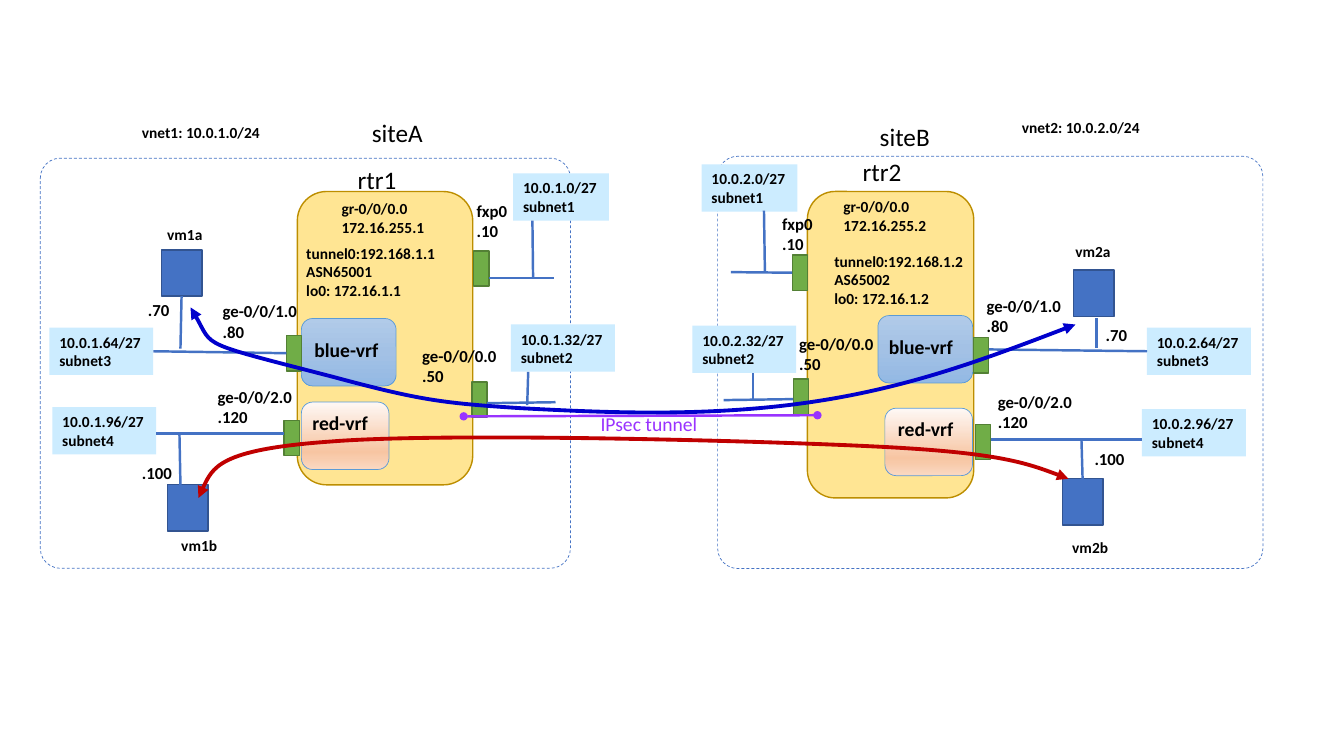
import copy
import pptx
import pptx.util
import pptx.dml.color
import pptx.enum.dml
import pptx.enum.shapes
import pptx.enum.text
import pptx.oxml.ns

Pt = pptx.util.Pt
KIND = pptx.enum.shapes.MSO_SHAPE
NEAR = 1.5  # how close a wire must end to a side's middle to be joined

BLUE = [(0, "B1CBE9"), (0.5, "A3C1E5"), (1, "93B9E4")]
RED = [(0, "FEF8F5"), (0.74, "F7C5A2"), (1, "FAD8C1")]

# Label text, box width, size, bold: the same set for each site
LABELS = [
    ("vnet{n}: 10.0.{n}.0/24", 102, 11, True),
    ("site{site}", 51, 18, False),
    ("rtr{n}", 44.6, 18, False),
    ("vm{n}a", 40.3, 11, True),
    ("vm{n}b", 40.3, 11, True),
    ("gr-0/0/0.0\n172.16.255.{n}", 74.9, 11, True),
    ("tunnel0:192.168.1.{n}\n{asn}\nlo0: 172.16.1.{n}", 108, 11, True),
    ("fxp0\n.10", 36.7, 12, True),
    ("ge-0/0/0.0\n.50", 68.4, 12, True),
    ("ge-0/0/1.0\n.80", 68.4, 12, True),
    ("ge-0/0/2.0\n.120", 68.4, 12, True),
    (".70", 30.2, 12, True),
    (".100", 36.7, 12, True),
    ("blue-vrf", 61.2, 14, True),
    ("red-vrf", 54.7, 14, True),
]
# Subnet host part and box width
NETS = [("0", 68.4), ("32", 74.2), ("64", 74.2), ("96", 74.2)]

# Places are offsets from the top left corner of the site's frame
SITE_A = dict(
    names=dict(n=1, site="A", asn="ASN65001"),
    router=(183.6, 23.8, 125.3, 209.5),
    vrfs=[(186.5, 114.5), (186.5, 174.2)],
    vms=[(86.4, 65.5), (90.7, 233.3)],
    ports=[(309.6, 66.2), (308.2, 159.8), (175.7, 126.7), (174.2, 187.2)],
    nets=[(337.7, 10.8), (336.2, 118.8), (6.5, 121), (8.6, 177.8)],
    wires=[(80.7, 138.5, 175.7, 138.5), (82.8, 196.6, 174.2, 196.6),
           (320.4, 85.7, 367.2, 85.7), (352, 85.7, 351.5, 44.6),
           (319, 175, 368, 174.3), (347.8, 176.4, 348.5, 152.6),
           (100.1, 136, 100.9, 98.5), (100.1, 233.3, 99.4, 197.3)],
    labels=[(65.5, -28.8), (229.7, -32.4), (219.6, 0.7), (83.5, 44),
            (93.6, 266.4), (208.1, 26), (182.9, 57.6), (304.6, 26.6),
            (265.7, 130.3), (123.1, 98.6), (119.5, 159.8), (69.8, 97.9),
            (65.5, 213.8), (188.6, 124.6), (187.2, 177.1)])
SITE_B = dict(
    names=dict(n=2, site="B", asn="AS65002"),
    router=(64.1, 25.2, 118.8, 218.9),
    vrfs=[(114.5, 113.8), (119.5, 180)],
    vms=[(254.2, 81.4), (246.2, 230.4)],
    ports=[(53.3, 70.6), (54, 159.1), (182.9, 129.6), (184.3, 191.5)],
    nets=[(-11.5, 5.8), (-18, 121), (306.7, 122.4), (303.1, 180.7)],
    wires=[(9.4, 82.8, 53.3, 82.8), (33.8, 82.8, 33.1, 38.9),
           (4.3, 174.2, 54, 173.5), (25.2, 174.2, 25.2, 154.8),
           (193.7, 138, 306.7, 138), (195.1, 202.3, 303.1, 202.3),
           (270.7, 136.8, 270.7, 115.2), (259.9, 230.4, 259.9, 203)],
    labels=[(210.2, -31), (108.7, -28.8), (96.5, -3.6), (248.4, 57.6),
            (246.2, 269.3), (82.8, 25.9), (76.3, 64.8), (38.9, 37.4),
            (51.1, 123.1), (185, 95.8), (193, 164.9), (270, 116.6),
            (262.1, 205.2), (115.2, 123.8), (121.7, 182.9)])


def hue(code):
    return pptx.dml.color.RGBColor.from_string(code)


def ink(line, code, width):
    line.color.rgb = hue(code)
    line.width = Pt(width)


def write(shape, text, size, bold=True, code="000000"):
    frame = shape.text_frame
    frame.word_wrap = False
    frame.text = text
    for para in frame.paragraphs:
        para.alignment = pptx.enum.text.PP_ALIGN.LEFT
        font = para.font
        font.name, font.size, font.bold = "Calibri", Pt(size), bold
        font.color.rgb = hue(code)


def label(slide, x, y, w, text, size, bold=True, code="000000"):
    high = 7.2 + 1.22 * size * (text.count("\n") + 1)
    write(slide.shapes.add_textbox(Pt(x), Pt(y), Pt(w), Pt(high)),
          text, size, bold, code)


def block(slide, kind, x, y, w, h, fill=None, edge=None, width=1, bend=None):
    shape = slide.shapes.add_shape(kind, Pt(x), Pt(y), Pt(w), Pt(h))
    shape.shadow.inherit = False
    if bend is not None:
        shape.adjustments[0] = bend
    if fill is None:
        shape.fill.background()
    elif isinstance(fill, list):
        shape.fill.gradient()
        shape.fill.gradient_angle = 270
        stops = shape.element.xpath(".//a:gsLst")[0]
        stops.insert(1, copy.deepcopy(stops[0]))
        for stop, (place, code) in zip(shape.fill.gradient_stops, fill):
            stop.position, stop.color.rgb = place, hue(code)
    else:
        shape.fill.solid()
        shape.fill.fore_color.rgb = hue(fill)
    if edge:
        ink(shape.line, edge, width)
    else:
        shape.line.fill.background()
    return shape


def tips(shape, kind):
    line = shape.element.xpath(".//a:ln")[0]
    for end in ("headEnd", "tailEnd"):
        tip = line.makeelement(pptx.oxml.ns.qn("a:" + end), {"type": kind})
        line.append(tip)


def wire(slide, x1, y1, x2, y2, code="4472C4", rects=()):
    link = slide.shapes.add_connector(
        pptx.enum.shapes.MSO_CONNECTOR.STRAIGHT, Pt(x1), Pt(y1), Pt(x2), Pt(y2))
    ink(link.line, code, 1.75)
    props = link.element.spPr
    props.append(props.makeelement(pptx.oxml.ns.qn("a:effectLst"), {}))
    # Join each end that meets the middle of a rectangle's side
    for x, y, join in ((x1, y1, link.begin_connect), (x2, y2, link.end_connect)):
        for rect in rects:
            l, t, w, h = (v.pt for v in (rect.left, rect.top, rect.width, rect.height))
            mids = [(l + w / 2, t), (l, t + h / 2), (l + w / 2, t + h), (l + w, t + h / 2)]
            for side, (mx, my) in enumerate(mids):
                if abs(mx - x) < NEAR and abs(my - y) < NEAR:
                    join(rect, side)
    return link


def site(slide, box, data):
    left, top = box[:2]

    def put(kind, spot, size, *look):
        return block(slide, kind, left + spot[0], top + spot[1], *size, *look)

    # Frame and router
    frame = block(slide, KIND.ROUNDED_RECTANGLE, *box, None, "4472C4", 0.5, 0.049)
    frame.line.dash_style = pptx.enum.dml.MSO_LINE.DASH
    put(KIND.ROUNDED_RECTANGLE, data["router"], data["router"][2:], "FFE593", "BD8E00")
    # Routing instances
    for spot, wide, fill in zip(data["vrfs"], (67.7, 62.6), (BLUE, RED)):
        put(KIND.ROUNDED_RECTANGLE, spot, (wide, 48.2), fill, "5B9BD5", 0.5)
    # Machines, ports and subnets
    rects = [put(KIND.RECTANGLE, spot, (29, 33), "4472C4", "325491")
             for spot in data["vms"]]
    rects += [put(KIND.RECTANGLE, spot, (10.8, 25.2), "70AD47", "538035")
              for spot in data["ports"]]
    for count, (spot, (host, wide)) in enumerate(zip(data["nets"], NETS), 1):
        net = put(KIND.RECTANGLE, spot, (wide, 33.8), "CCECFF")
        write(net, f"10.0.{data['names']['n']}.{host}/27\nsubnet{count}", 11)
        rects.append(net)
    # Wires
    for x1, y1, x2, y2 in data["wires"]:
        wire(slide, left + x1, top + y1, left + x2, top + y2, rects=rects)
    # Labels
    for (x, y), (text, wide, size, bold) in zip(data["labels"], LABELS):
        label(slide, left + x, top + y, wide, text.format(**data["names"]), size, bold)


def curve(slide, code, points):
    spots = [(Pt(x), Pt(y)) for x, y in points]
    form = slide.shapes.build_freeform(*spots[0])
    form.add_line_segments(spots[1:], close=False)
    shape = form.convert_to_shape()
    shape.shadow.inherit = False
    shape.fill.background()
    ink(shape.line, code, 2.75)
    tips(shape, "triangle")
    # Turn every three segments into one Bezier curve
    steps = shape.element.xpath(".//a:lnTo")
    for first in range(0, len(steps), 3):
        trio = steps[first:first + 3]
        bend = trio[0].makeelement(pptx.oxml.ns.qn("a:cubicBezTo"), {})
        trio[0].addprevious(bend)
        for step in trio:
            bend.append(step[0])
            step.getparent().remove(step)


def tunnel(slide):
    tips(wire(slide, 331.2, 297.4, 583.9, 296.6, "9933FF"), "oval")
    label(slide, 421.9, 290.9, 84.2, "IPsec tunnel", 14, False, "9933FF")
    curve(slide, "0000CC", [
        (136.1, 219.6), (154.1, 249.1), (141.1, 244.1), (238.3, 269.3),
        (299.5, 285.8), (316.1, 288), (372.2, 291.6),
        (427.7, 294.5), (500.4, 298.1), (573.8, 288),
        (647.3, 277.9), (707.8, 254.9), (768.2, 231.8)])
    curve(slide, "C00000", [
        (141.8, 355.7), (149, 338.4), (155.5, 321.1), (236.2, 315.4),
        (316.8, 308.9), (538.6, 314.6), (626.4, 319),
        (714.2, 323.3), (738.7, 332.6), (763.2, 342)])


def main():
    deck = pptx.Presentation()
    deck.slide_width, deck.slide_height = Pt(960), Pt(540)
    slide = deck.slides.add_slide(deck.slide_layouts[6])
    site(slide, (28.8, 113, 378.7, 293), SITE_A)
    site(slide, (512.6, 111.6, 389.5, 294.5), SITE_B)
    tunnel(slide)
    deck.save("out.pptx")


if __name__ == "__main__":
    main()
